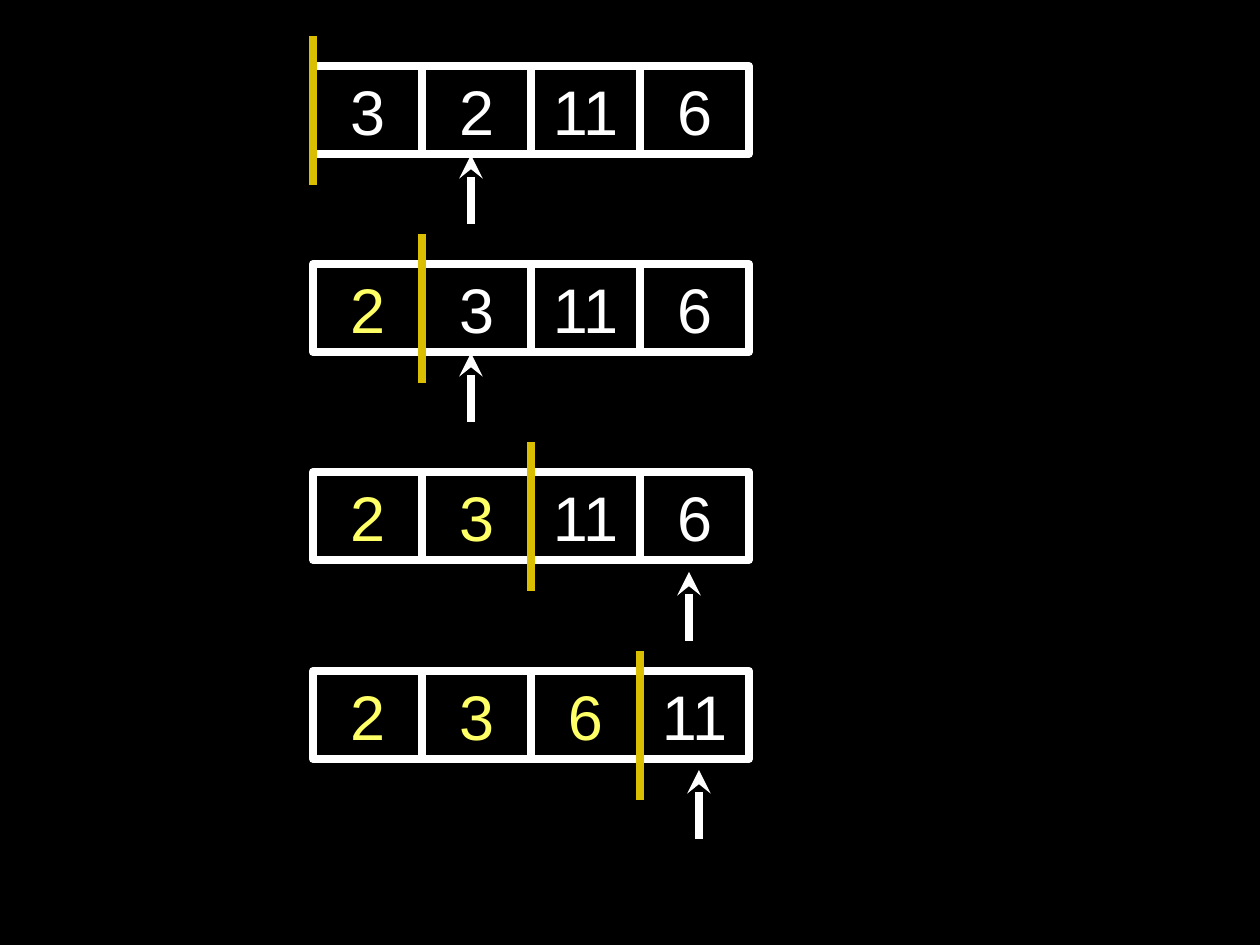
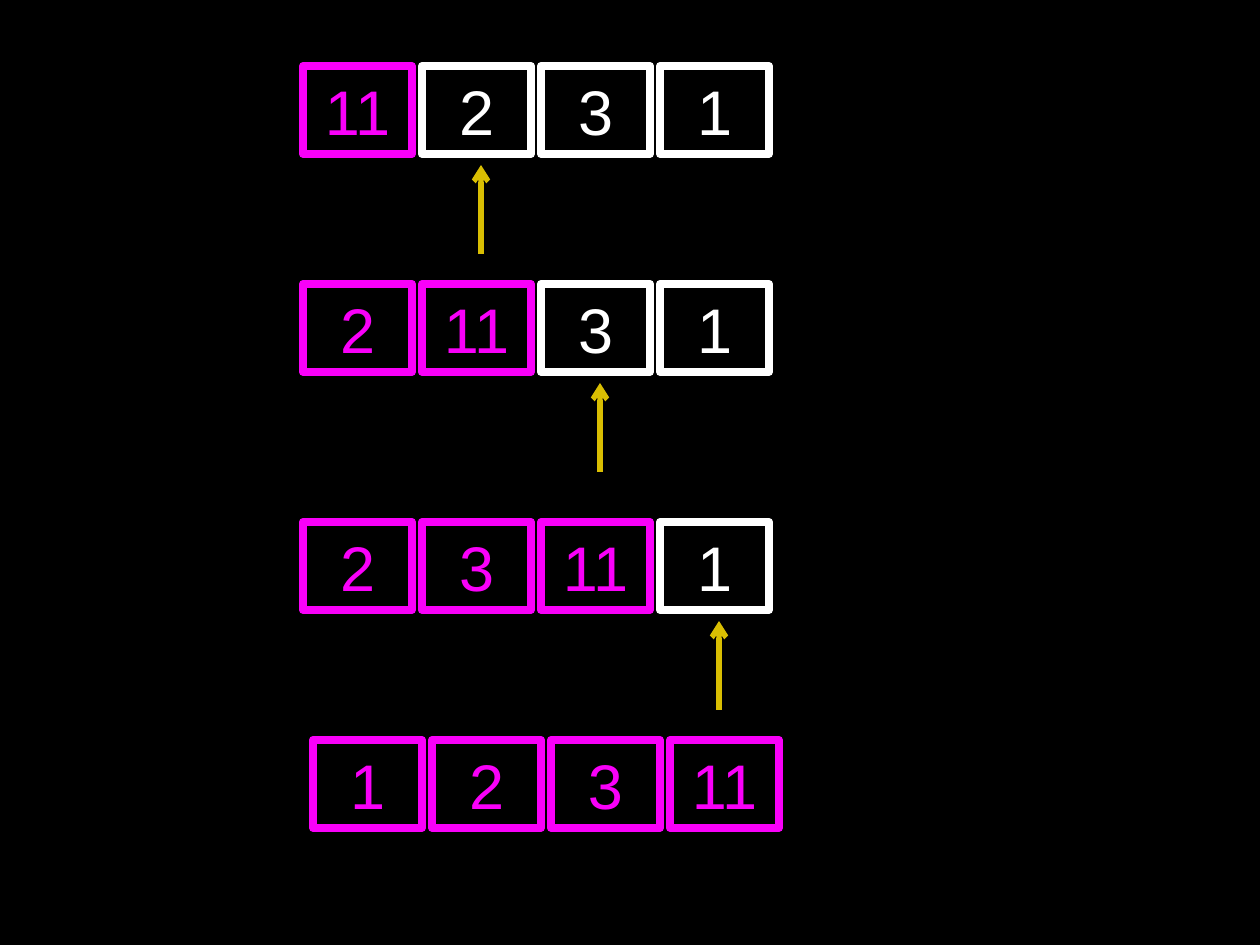
from pptx import Presentation
from pptx import util as u
from pptx.dml import color
from pptx.enum import shapes, text
from pptx.oxml import ns
from lxml import etree

BLACK, WHITE, GOLD = "000000", "FFFFFF", "D9BE02"
YELLOW, PINK = "FFFF66", "F900F9"
FONT, SIZE, THICK, THIN = "Arial", 36, 4.5, 3
PX = 914400 / 126
CELL_W, CELL_H = 109, 88

SELECT = [
    dict(top=66, nums=[3, 2, 11, 6], done=0, bar=36, tip=(471, 155)),
    dict(top=264, nums=[2, 3, 11, 6], done=1, bar=234, tip=(471, 353)),
    dict(top=472, nums=[2, 3, 11, 6], done=2, bar=442, tip=(689, 572)),
    dict(top=671, nums=[2, 3, 6, 11], done=3, bar=651, tip=(699, 770)),
]
SELECT_LEFT, SELECT_STEP, SELECT_ARROW, BAR = 313, 109, 69, 149

INSERT = [
    dict(top=66, left=303, nums=[11, 2, 3, 1], done=1),
    dict(top=284, left=303, nums=[2, 11, 3, 1], done=2),
    dict(top=522, left=303, nums=[2, 3, 11, 1], done=3),
    dict(top=740, left=313, nums=[1, 2, 3, 11], done=4),
]
INSERT_STEP, INSERT_ARROW, TIP_GAP = 119, 89, 99


def px(n):
    return u.Emu(round(n * PX))


def rgb(code):
    return color.RGBColor.from_string(code)


def new_slide(deck):
    slide = deck.slides.add_slide(deck.slide_layouts[6])
    slide.background.fill.solid()
    slide.background.fill.fore_color.rgb = rgb(BLACK)
    return slide


def add_cell(slide, left, top, num, edge, ink):
    cell = slide.shapes.add_shape(
        shapes.MSO_SHAPE.RECTANGLE, px(left), px(top), px(CELL_W), px(CELL_H))
    cell.shadow.inherit = False
    cell.fill.background()
    cell.line.color.rgb = rgb(edge)
    cell.line.width = u.Pt(THICK)
    frame = cell.text_frame
    frame.word_wrap = True
    frame.vertical_anchor = text.MSO_ANCHOR.BOTTOM
    para = frame.paragraphs[0]
    para.alignment = text.PP_ALIGN.CENTER
    run = para.add_run()
    run.text = str(num)
    run.font.name = FONT
    run.font.size = u.Pt(SIZE)
    run.font.color.rgb = rgb(ink)


def add_row(slide, left, step, row, edge, ink):
    for i, num in enumerate(row["nums"]):
        done = i < row["done"]
        add_cell(slide, left + i * step, row["top"], num,
                 edge if done else WHITE, ink if done else WHITE)


def add_line(slide, x, start, end, hue, width, head=None):
    line = slide.shapes.add_connector(
        shapes.MSO_CONNECTOR.STRAIGHT, px(x), px(start), px(x), px(end))
    line.line.color.rgb = rgb(hue)
    line.line.width = u.Pt(width)
    if head:
        etree.SubElement(line.line._get_or_add_ln(), ns.qn("a:tailEnd"), type=head)
    etree.SubElement(line._element.spPr, ns.qn("a:effectLst"))


def draw_select(slide):
    for row in SELECT:
        add_row(slide, SELECT_LEFT, SELECT_STEP, row, WHITE, YELLOW)
        x, tip = row["tip"]
        add_line(slide, x, tip + SELECT_ARROW, tip, WHITE, THICK, "stealth")
        edge = SELECT_LEFT + row["done"] * SELECT_STEP
        add_line(slide, edge, row["bar"], row["bar"] + BAR, GOLD, THICK)


def draw_insert(slide):
    for row in INSERT:
        add_row(slide, row["left"], INSERT_STEP, row, PINK, PINK)
        if row["done"] < len(row["nums"]):
            x = row["left"] + row["done"] * INSERT_STEP + INSERT_STEP // 2
            tip = row["top"] + TIP_GAP
            add_line(slide, x, tip + INSERT_ARROW, tip, GOLD, THIN, "arrow")


def main():
    deck = Presentation()
    deck.slide_width, deck.slide_height = px(1260), px(945)
    draw_select(new_slide(deck))
    draw_insert(new_slide(deck))
    deck.save("out.pptx")


if __name__ == "__main__":
    main()
